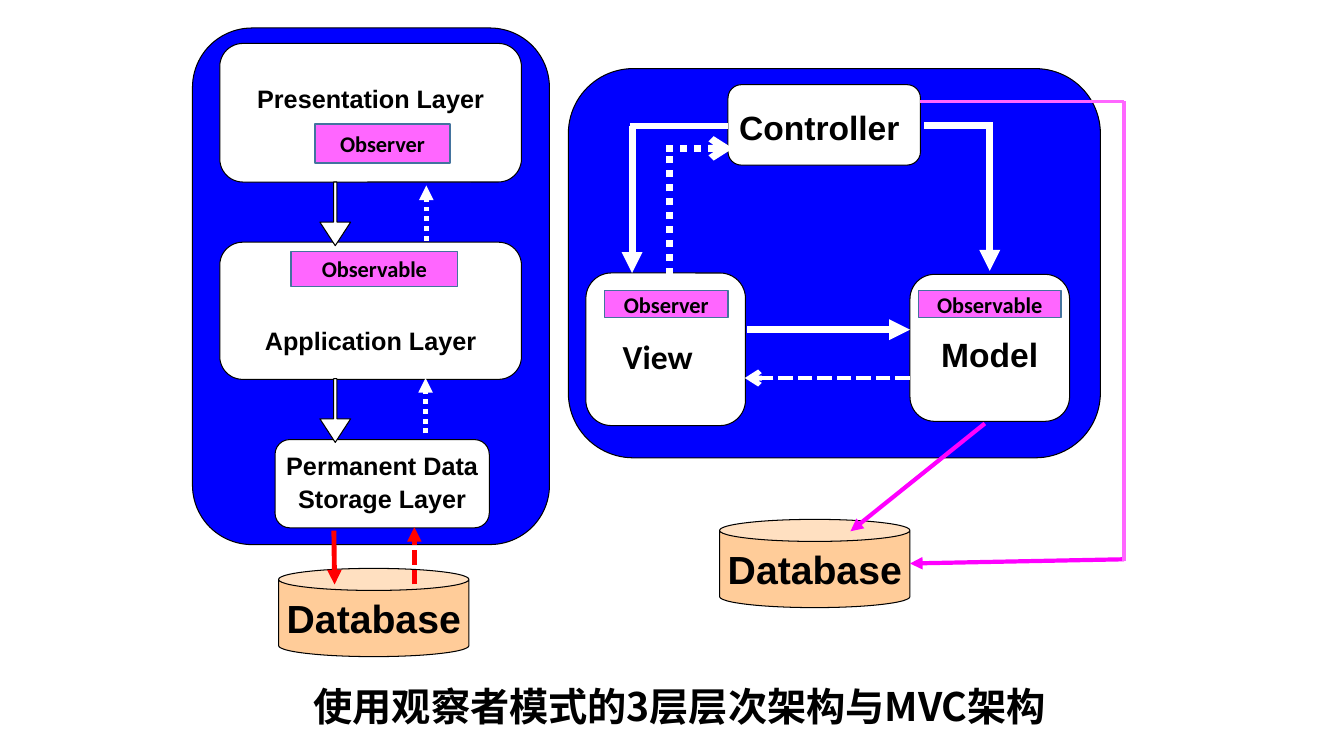
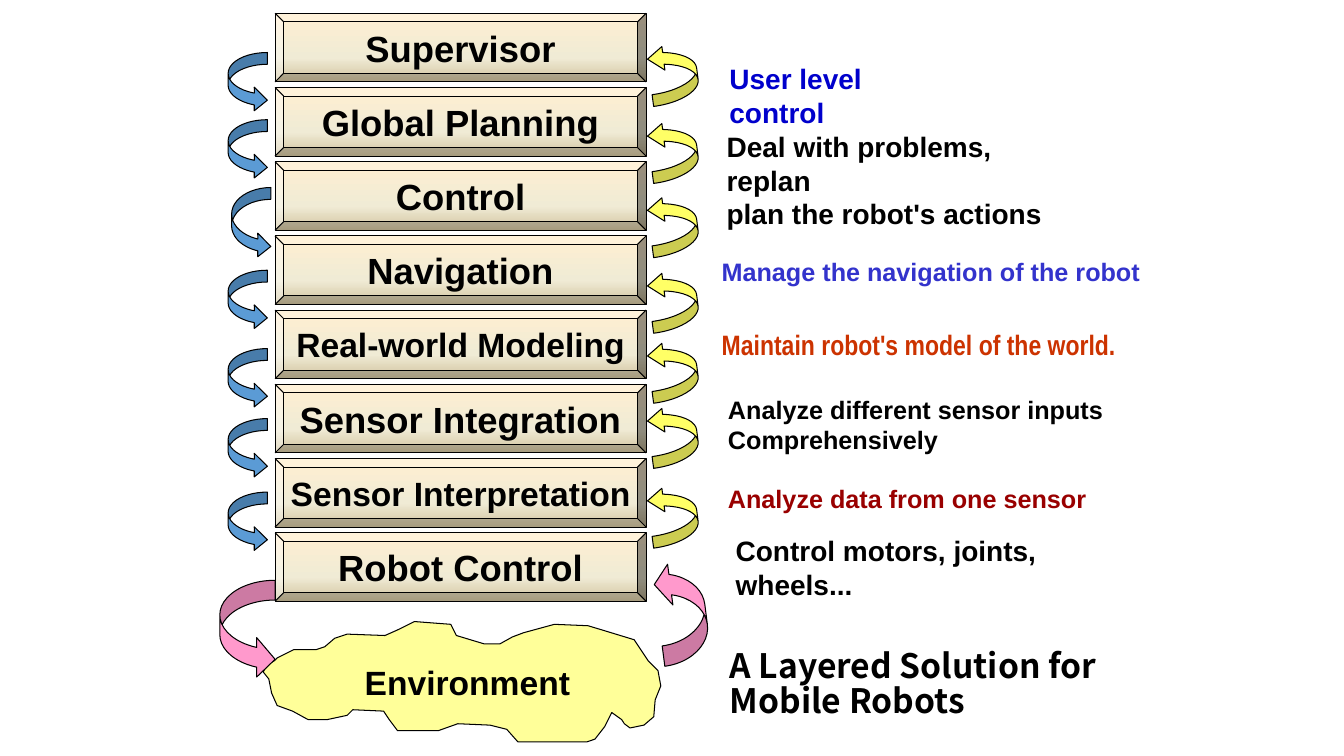
"""Build two slides on layered and MVC software architectures."""
from copy import deepcopy
from dataclasses import dataclass

from lxml import etree
from pptx import Presentation
from pptx.dml.color import RGBColor
from pptx.enum.dml import MSO_LINE
from pptx.enum.shapes import MSO_CONNECTOR, MSO_SHAPE
from pptx.enum.text import MSO_ANCHOR, MSO_AUTO_SIZE, PP_ALIGN
from pptx.oxml.ns import qn
from pptx.util import Pt

ROUNDED, RECT, CAN = MSO_SHAPE.ROUNDED_RECTANGLE, MSO_SHAPE.RECTANGLE, MSO_SHAPE.CAN
DOWN, CURVED, BEVEL = MSO_SHAPE.DOWN_ARROW, MSO_SHAPE.CURVED_RIGHT_ARROW, MSO_SHAPE.BEVEL
STRAIGHT = MSO_CONNECTOR.STRAIGHT
DOTS, DASHES = MSO_LINE.ROUND_DOT, MSO_LINE.SQUARE_DOT
LEFT, CENTER = PP_ALIGN.LEFT, PP_ALIGN.CENTER
TOP, MIDDLE = MSO_ANCHOR.TOP, MSO_ANCHOR.MIDDLE
FIXED = MSO_AUTO_SIZE.NONE


@dataclass(frozen=True)
class Theme:
    black: str = "000000"
    white: str = "FFFFFF"
    panel: str = "0000FF"
    database: str = "FFCC99"
    role: str = "FF66FF"
    role_edge: str = "43739E"
    access: str = "FF00FF"
    storage: str = "FF0000"
    command: str = "5B9BD5"
    feedback: str = "FFFF66"
    world_link: str = "FF99CC"
    world: str = "FFFF99"
    user: str = "0000CC"
    navigation: str = "3333CC"
    model: str = "CC3300"
    sensor: str = "990000"
    stone: tuple = ((0, "FFEFD1"), (0.65, "F0EBD5"), (1, "D1C39F"))
    sans: str = "Arial"
    narrow: str = "Arial Narrow"
    label: str = "Calibri"
    heading: str = "Noto Sans CJK SC"
    tag: int = 16
    small: int = 18
    body: int = 20
    large: int = 24
    layer: int = 26
    display: int = 28


THEME = Theme()


def write(shape, text, *, size=THEME.small, font=THEME.sans, color=THEME.black, align=LEFT,
          anchor=TOP, inset=(0, 0, 0, 0), wrap=True, spacing=1.0, before=0):
    frame = shape.text_frame
    frame.auto_size, frame.word_wrap, frame.vertical_anchor = FIXED, wrap, anchor
    (frame.margin_left, frame.margin_top,
     frame.margin_right, frame.margin_bottom) = map(Pt, inset)
    frame.text = text
    for paragraph in frame.paragraphs:
        paragraph.alignment = align
        paragraph.line_spacing, paragraph.space_before = spacing, Pt(before)
        for run in paragraph.runs:
            run.font.size, run.font.bold, run.font.name = Pt(size), True, font
            run.font.color.rgb = RGBColor.from_string(color)
            etree.SubElement(run.font._element, qn("a:ea"), typeface=font)


def draw(slide, preset, box, fill, *, edge=THEME.black, width=0.75, adjust=(), turn=0):
    shape = slide.shapes.add_shape(preset, *map(Pt, box))
    shape.shadow.inherit = False
    shape.fill.solid()
    shape.fill.fore_color.rgb = RGBColor.from_string(fill)
    shape.line.color.rgb = RGBColor.from_string(edge)
    shape.line.width = Pt(width)
    shape.rotation = turn
    for index, value in enumerate(adjust):
        shape.adjustments[index] = value
    return shape


deck = Presentation()
deck.slide_width, deck.slide_height = Pt(960), Pt(540)
title_only = deck.slide_layouts[5]

titles = [
    ("使用观察者模式的3层层次架构与MVC架构", (202, 484, 567, 41), THEME.display, CENTER, 1.0),
    ("A Layered Solution for Mobile Robots", (514, 457, 308, 65.5), THEME.large, LEFT, 0.85),
]
slides = []
for text, box, size, align, spacing in titles:
    slide = deck.slides.add_slide(title_only)
    heading = slide.shapes.title
    heading.left, heading.top, heading.width, heading.height = map(Pt, box)
    write(heading, text, size=size, font=THEME.heading, align=align, anchor=MIDDLE,
          inset=(7.2, 3.6, 7.2, 3.6), spacing=spacing)
    slides.append(slide)
patterns, robots = slides

for box in [(406, 49, 380, 278), (137.5, 20, 255, 369)]:
    draw(patterns, ROUNDED, box, THEME.panel)

components = [
    ("Presentation Layer", (157, 31, 215.5, 99), dict(inset=(0, 0, 0, 21))),
    ("Application Layer", (157, 173, 215.5, 98), dict(inset=(0, 43, 0, 0))),
    ("Permanent Data\nStorage Layer", (196.5, 314, 153, 63), dict(spacing=0.9, before=4)),
    ("Model", (650, 196, 114, 105), dict(size=THEME.large, inset=(5, 9, 5, 0))),
    ("Controller", (520, 60.5, 137.5, 57.5), dict(size=THEME.large, inset=(0, 3, 7, 0))),
    ("View", (418.5, 195, 114, 109),
     dict(size=THEME.large, font=THEME.label, align=LEFT, inset=(21, 9, 5, 0))),
]
for text, box, style in components:
    component = draw(patterns, ROUNDED, box, THEME.white)
    write(component, text, **{"align": CENTER, "anchor": MIDDLE, "wrap": False, **style})

for top in (130, 270.5):
    draw(patterns, DOWN, (228.5, top, 22, 45.5), THEME.white, adjust=(0.106, 0.766))

for left, top in [(199, 406), (514, 371)]:
    database = draw(patterns, CAN, (left, top, 136, 63), THEME.database, adjust=(0.25,))
    write(database, "Database", size=THEME.display, align=CENTER, anchor=MIDDLE, wrap=False)

roles = [
    ("Observer", (225, 88.5, 96.5, 28)),
    ("Observable", (208, 179.5, 119, 25)),
    ("Observer", (432, 207.5, 88, 19.5)),
    ("Observable", (656, 207.5, 102, 19.5)),
]
for text, box in roles:
    role = draw(patterns, RECT, box, THEME.role, edge=THEME.role_edge, width=1)
    write(role, text, size=THEME.tag, font=THEME.label, align=CENTER, anchor=MIDDLE)

links = [
    ((304.5, 172), (304.5, 132.5), THEME.white, 3.5, DOTS, "triangle"),
    ((304, 309.5), (304, 270), THEME.white, 3.5, DOTS, "triangle"),
    ((238.5, 379), (239, 417.5), THEME.storage, 3.5, None, "triangle"),
    ((296, 417.5), (296, 376.5), THEME.storage, 3.5, DASHES, "triangle"),
    ((533.5, 235.5), (650, 235.5), THEME.white, 5, None, "triangle"),
    ((709, 89.5), (660, 89.5), THEME.white, 5, None, None),
    ((707, 88.5), (707, 193.5), THEME.white, 5, None, "triangle"),
    ((450, 90), (520, 90), THEME.white, 5, None, None),
    ((451.5, 90), (451.5, 195), THEME.white, 5, None, "triangle"),
    ((703.5, 302.5), (607.5, 379.5), THEME.access, 3, None, "triangle"),
    ((803, 399.5), (650, 402.5), THEME.access, 3, None, "triangle"),
    ((657.5, 72.5), (803, 72.5), THEME.role, 2.5, None, None),
    ((803, 72.5), (803, 400.5), THEME.role, 2.5, None, None),
    ((650, 270), (532, 270), THEME.white, 3.5, DASHES, "arrow"),
    ((478, 196.5), (478, 106), THEME.white, 5, DOTS, None),
    ((476, 106), (523.5, 106), THEME.white, 5, DOTS, "arrow"),
]
for start, end, color, width, dash, head in links:
    link = patterns.shapes.add_connector(STRAIGHT, *map(Pt, start + end))
    link.line.color.rgb = RGBColor.from_string(color)
    link.line.width = Pt(width)
    if dash:
        link.line.dash_style = dash
    if head:
        etree.SubElement(link.line._ln, qn("a:tailEnd"), type=head)
    etree.SubElement(link._element.spPr, qn("a:effectLst"))

coast = [
    (194, 495), (191.5, 485), (188.5, 480), (191, 475), (196, 471.5), (198, 469.5),
    (209.5, 464.5), (225.5, 464.5), (232.5, 462), (239, 456), (247.5, 453), (275, 454.5),
    (283.5, 450.5), (296.5, 444), (322, 445.5), (326, 454.5), (345.5, 460), (357, 459.5),
    (366.5, 455), (374.5, 451.5), (395.5, 445.5), (420.5, 447), (430, 450.5), (453, 457),
    (463, 471.5), (470, 479), (472, 490), (468.5, 500.5), (467, 512), (459.5, 518.5),
    (450, 520.5), (445.5, 517), (444, 514), (437, 509), (431.5, 519), (425, 528),
    (419, 530), (417, 530.5), (369.5, 530), (362, 521), (350.5, 517.5), (327, 517),
    (313, 522), (284.5, 521.5), (278.5, 513.5), (274.5, 508.5), (252, 507), (247.5, 511),
    (234, 514.5), (220.5, 514), (209, 508.5), (198, 504.5),
]
outline = robots.shapes.build_freeform(*coast[0], scale=Pt(1))
outline.add_line_segments(coast[1:], close=True)
environment = outline.convert_to_shape()
environment.shadow.inherit = False
environment.fill.solid()
environment.fill.fore_color.rgb = RGBColor.from_string(THEME.world)
environment.line.color.rgb = RGBColor.from_string(THEME.black)
environment.line.width = Pt(0.75)

feedback_tops = (31.5, 86.5, 139.5, 193.5, 243.5, 290, 347)
command_tops = (37.5, 85.5, 134, 193, 249, 299, 351.5)
for level, (feedback_top, command_top) in enumerate(zip(feedback_tops, command_tops)):
    draw(robots, CURVED, (464, feedback_top, 34, 42.5), THEME.feedback,
         adjust=(0.249, 0.498, 0.333), turn=172.6)
    left, height = (165.5, 50.5) if level == 2 else (163, 42.5)
    draw(robots, CURVED, (left, command_top, 28, height), THEME.command,
         adjust=(0.301, 0.602, 0.333))
draw(robots, CURVED, (470, 400.5, 34, 73.5), THEME.world_link,
     adjust=(0.432, 0.864, 0.333), turn=172.6)
draw(robots, CURVED, (157, 414.5, 39.5, 70.5), THEME.world_link,
     adjust=(0.357, 0.713, 0.333))

notes = [
    ("Environment", (260.5, 472.5, 156, 29), dict(size=THEME.large)),
    ("User level control", (521, 44, 168, 48), dict(size=THEME.body, color=THEME.user)),
    ("Deal with problems, replan\nplan the robot's actions", (519, 92.5, 254, 72),
     dict(size=THEME.body)),
    ("Manage the navigation of the robot", (515.5, 183, 330, 22), dict(color=THEME.navigation)),
    ("Maintain robot's model of the world.", (515.5, 234, 300, 24),
     dict(size=THEME.body, font=THEME.narrow, color=THEME.model)),
    ("Analyze different sensor inputs\nComprehensively", (520, 281.5, 284, 43), {}),
    ("Analyze data from one sensor", (520, 345, 272, 21.5), dict(color=THEME.sensor)),
    ("Control motors, joints, wheels...", (525.5, 381, 232.5, 48), dict(size=THEME.body)),
]
for text, box, style in notes:
    write(robots.shapes.add_textbox(*map(Pt, box)), text, **style)

layers = [
    ("Supervisor", THEME.layer),
    ("Global Planning", THEME.layer),
    ("Control", THEME.layer),
    ("Navigation", THEME.layer),
    ("Real-world Modeling", THEME.large),
    ("Sensor Integration", THEME.layer),
    ("Sensor Interpretation", THEME.large),
    ("Robot Control", THEME.layer),
]
for level, (text, size) in enumerate(layers):
    layer = draw(robots, BEVEL, (196.5, 9.5 + 53 * level, 265, 49), THEME.white,
                 adjust=(0.125,))
    layer.fill.gradient()
    layer.fill.gradient_angle = 270
    stops = layer._element.spPr.find(".//" + qn("a:gsLst"))
    stops.insert(1, deepcopy(stops[0]))
    for stop, (position, color) in zip(layer.fill.gradient_stops, THEME.stone):
        stop.position = position
        stop.color.rgb = RGBColor.from_string(color)
    write(layer, text, size=size, align=CENTER, anchor=MIDDLE, wrap=False)

deck.save("out.pptx")
